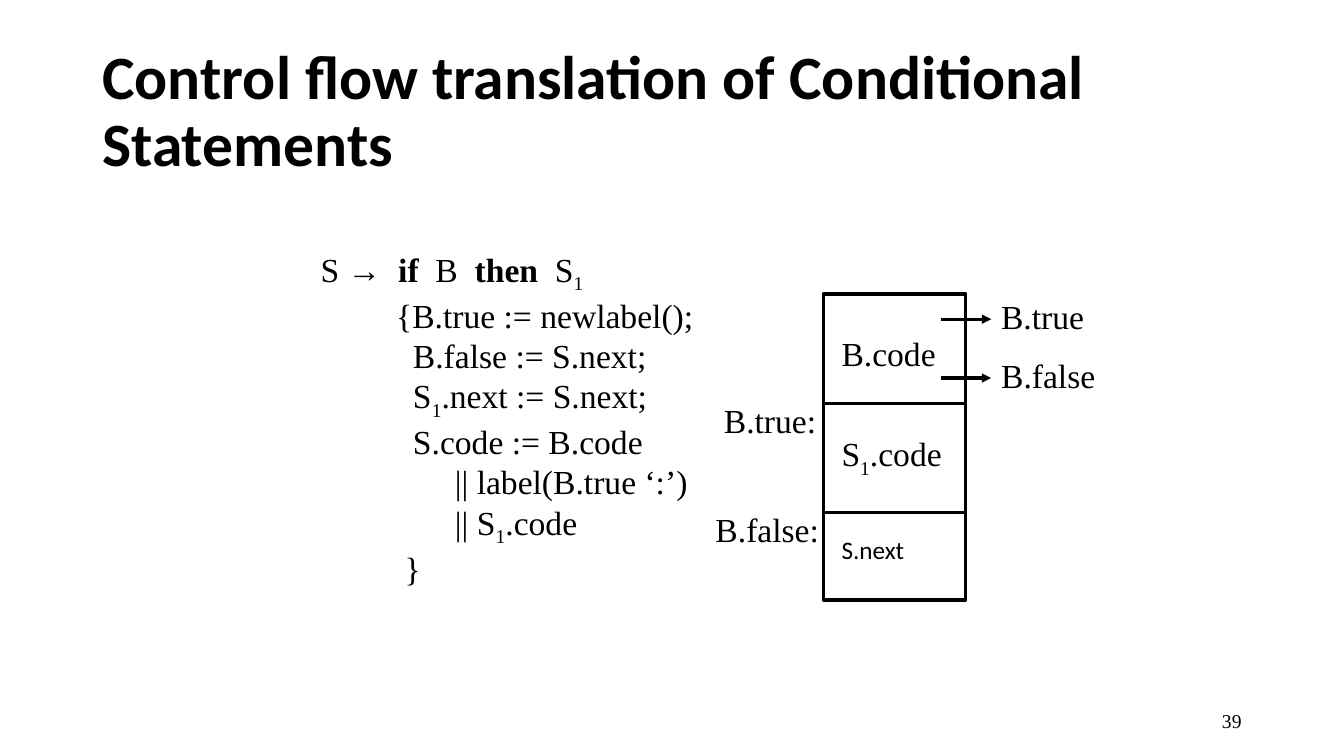
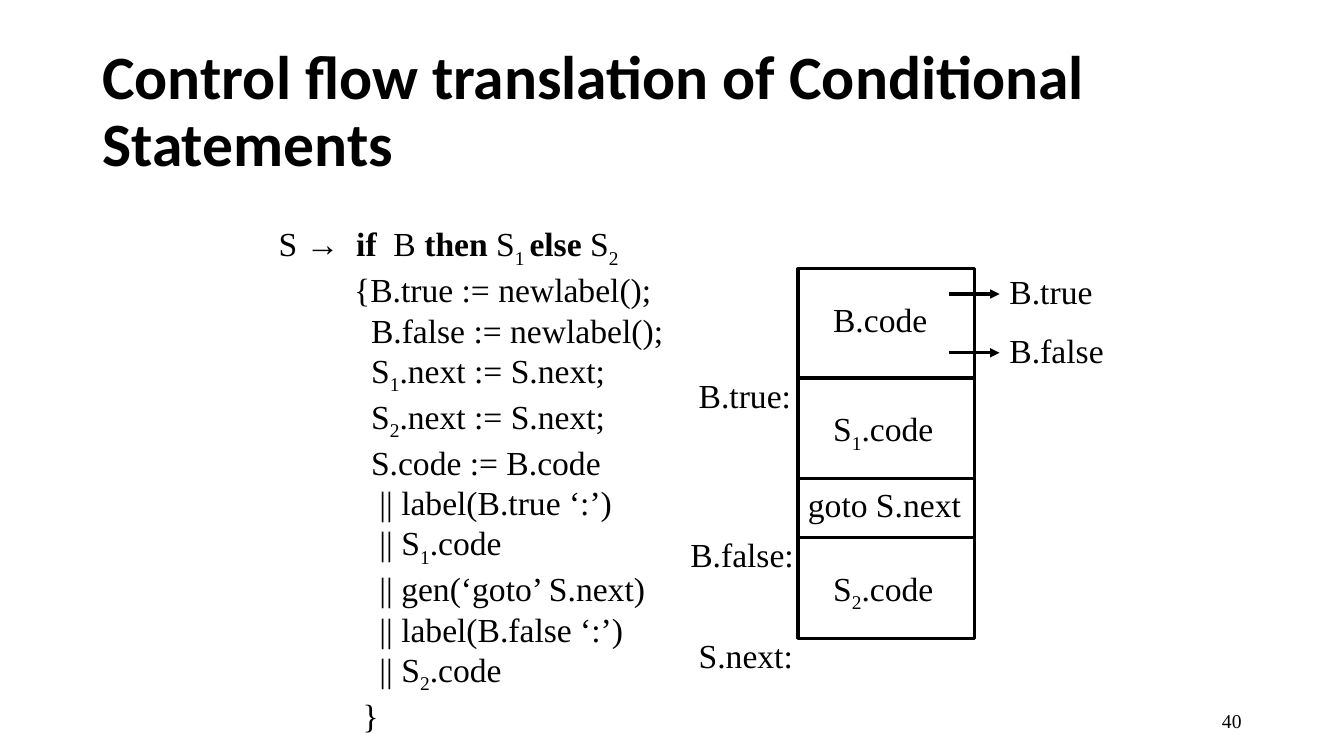
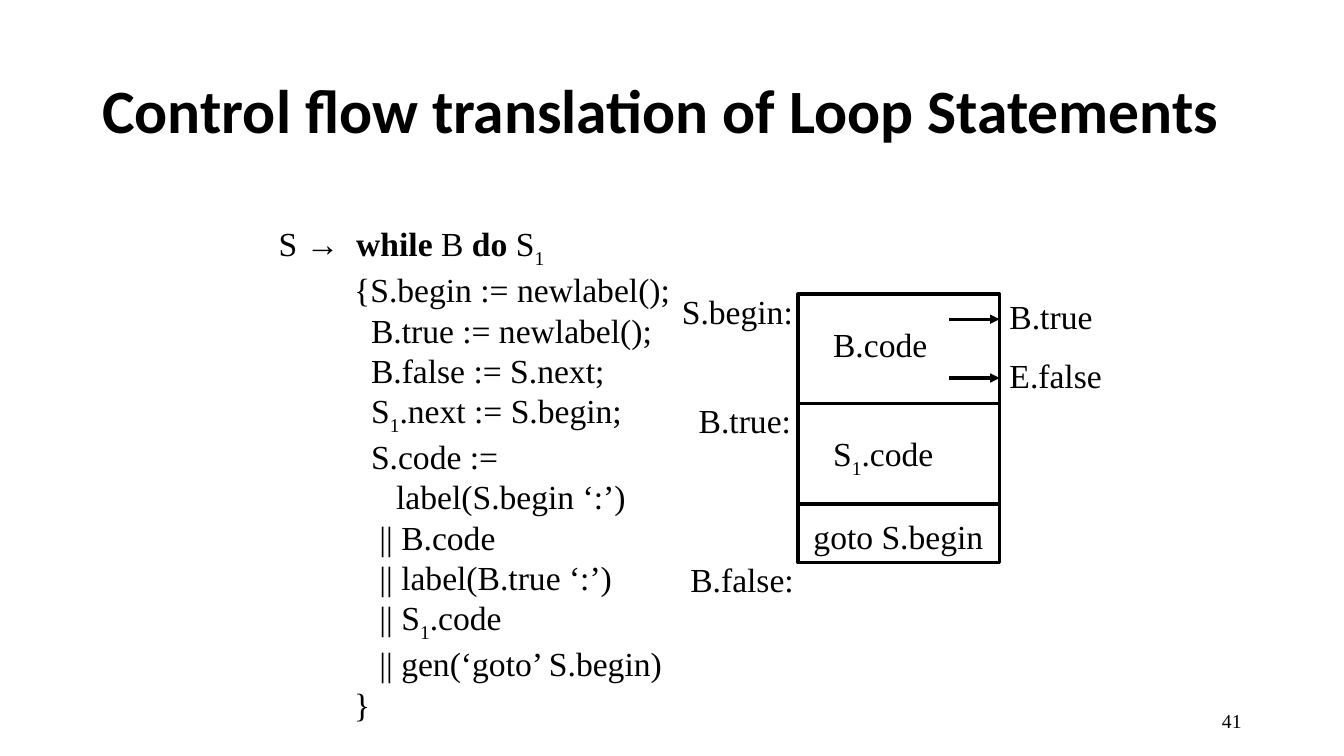
from dataclasses import dataclass

from lxml.etree import SubElement
from pptx import Presentation
from pptx.dml.color import RGBColor
from pptx.enum.shapes import MSO_CONNECTOR, MSO_SHAPE
from pptx.enum.text import MSO_ANCHOR, MSO_AUTO_SIZE, PP_ALIGN
from pptx.oxml.ns import qn
from pptx.util import Pt


@dataclass(frozen=True)
class Theme:
    """Colours, fonts and sizes shared by every slide."""

    ink: RGBColor = RGBColor(0, 0, 0)
    paper: RGBColor = RGBColor(255, 255, 255)
    heading_font: str = "Calibri"
    body_font: str = "Times New Roman"
    title_size: float = 44
    body_size: float = 24
    small_size: float = 18
    number_size: float = 14
    line_width: float = 2.25
    line_height: float = 36
    label_rise: float = 6
    exit_rise: float = 20


@dataclass(frozen=True)
class Box:
    """A rectangle in points."""

    left: float
    top: float
    width: float
    height: float

    @property
    def right(self):
        """Return the right edge."""
        return self.left + self.width

    def lengths(self):
        """Return the four lengths for a shape call."""
        return Pt(self.left), Pt(self.top), Pt(self.width), Pt(self.height)


THEME = Theme()
TITLE_BOX = Box(66, 28.75, 828, 104.38)
NUMBER_BOX = Box(678, 500.5, 216, 28.75)
LABELS = {
    "B.true:": (-78, 81.4),
    "B.false:": (-84, 89.3),
    "S.next:": (-78, 82.1),
    "S.begin:": (-90, 93.6),
}
EXIT_WIDTHS = {"B.true": 74.2, "B.false": 82.8, "E.false": 80.6}
EXIT_OFFSETS = (18, 60)
ARROW_LENGTH = 36

SLIDES = [
    {
        "number": "39",
        "title": "Control flow translation of Conditional Statements",
        "code_box": Box(222, 174, 283, 240),
        "code": [
            "S →  *if*  B  *then*  S~1~",
            "         {B.true := newlabel();",
            "           B.false := S.next;",
            "           S~1~.next := S.next;",
            "           S.code := B.code",
            "                || label(B.true ‘:’)",
            "                || S~1~.code",
            "          }",
        ],
        "frame": Box(588, 210, 102, 156),
        "annex": Box(588, 366, 102, 62.6),
        "dividers": [78],
        "cells": [("B.code", 6, 24, 82.8), ("S~1~.code", 6, 96, 87.1)],
        "annex_text": "S.next",
        "labels": [("B.true:", 78), ("B.false:", 156)],
        "exits": ["B.true", "B.false"],
        "exit_reach": 18,
    },
    {
        "number": "40",
        "title": "Control flow translation of Conditional Statements",
        "code_box": Box(192, 156, 291.6, 356.4),
        "code": [
            "S →  *if*  B *then* S~1 ~*else* S~2~",
            "         {B.true := newlabel();",
            "           B.false := newlabel();",
            "           S~1~.next := S.next;",
            "           S~2~.next := S.next;",
            "           S.code := B.code",
            "            || label(B.true ‘:’)",
            "            || S~1~.code",
            "            || gen(‘goto’ S.next)",
            "            || label(B.false ‘:’)",
            "            || S~2~.code",
            "          }",
        ],
        "frame": Box(570, 192, 126, 264),
        "dividers": [78, 150, 192],
        "cells": [
            ("B.code", 18, 18, 82.8),
            ("S~1~.code", 18, 96, 87.1),
            ("goto S.next", 0, 150, 123.8),
            ("S~2~.code", 18, 210, 87.1),
        ],
        "labels": [("B.true:", 78), ("B.false:", 192), ("S.next:", 264)],
        "exits": ["B.true", "B.false"],
        "exit_reach": 18,
    },
    {
        "number": "41",
        "title": "Control flow translation of Loop Statements",
        "code_box": Box(192, 156, 296.6, 356.4),
        "code": [
            "S →  *while* B *do* S~1~",
            "         {S.begin := newlabel();",
            "           B.true := newlabel();",
            "           B.false := S.next;",
            "           S~1~.next := S.begin;",
            "           S.code :=",
            "              label(S.begin ‘:’)",
            "            || B.code",
            "            || label(B.true ‘:’)",
            "            || S~1~.code",
            "            || gen(‘goto’ S.begin)",
            "         }",
        ],
        "frame": Box(570, 210, 144, 192),
        "dividers": [78, 150],
        "cells": [
            ("B.code", 18, 18, 82.8),
            ("S~1~.code", 18, 96, 87.1),
            ("goto S.begin", 4, 155, 136),
        ],
        "labels": [("S.begin:", 0), ("B.true:", 78), ("B.false:", 192)],
        "exits": ["B.true", "E.false"],
        "exit_reach": 0,
    },
]


def add_span(para, text, font, size, bold=False, lowered=False):
    """Append one run to a paragraph."""
    span = para.add_run()
    span.text = text
    span.font.name = font
    span.font.size = Pt(size)
    span.font.bold = bold
    span.font.color.rgb = THEME.ink
    if lowered:
        span._r.get_or_add_rPr().set("baseline", "-25000")


def fill_paragraph(para, markup, font, size, bold=False):
    """Write markup in which * toggles bold and ~ toggles subscript."""
    for strong, part in enumerate(markup.split("*")):
        for low, piece in enumerate(part.split("~")):
            if piece:
                add_span(para, piece, font, size, bold or strong % 2 == 1, low % 2 == 1)


def add_text(page, box, lines, font=THEME.body_font, size=THEME.body_size, bold=False, wrap=False):
    """Add a text box with one paragraph for each line."""
    frame = page.shapes.add_textbox(*box.lengths()).text_frame
    frame.word_wrap = wrap
    frame.auto_size = MSO_AUTO_SIZE.NONE if wrap else MSO_AUTO_SIZE.SHAPE_TO_FIT_TEXT
    for index, line in enumerate(lines):
        para = frame.add_paragraph() if index else frame.paragraphs[0]
        fill_paragraph(para, line, font, size, bold)
    return frame


def add_outline(page, box):
    """Add an unfilled rectangle."""
    outline = page.shapes.add_shape(MSO_SHAPE.RECTANGLE, *box.lengths())
    outline.shadow.inherit = False
    outline.fill.background()
    outline.line.color.rgb = THEME.ink
    outline.line.width = Pt(THEME.line_width)
    return outline


def add_line(page, left, right, level, arrow=False):
    """Add a horizontal line, with an arrowhead at its right end if asked."""
    line = page.shapes.add_connector(
        MSO_CONNECTOR.STRAIGHT, Pt(left), Pt(level), Pt(right), Pt(level)
    )
    line.line.color.rgb = THEME.ink
    line.line.width = Pt(THEME.line_width)
    if arrow:
        SubElement(line.line._get_or_add_ln(), qn("a:tailEnd"), type="triangle")
    SubElement(line._element.spPr, qn("a:effectLst"))
    return line


def add_heading(page, box, title):
    """Place the slide title."""
    frame = add_text(page, box, [title], THEME.heading_font, THEME.title_size, True, True)
    frame.vertical_anchor = MSO_ANCHOR.MIDDLE
    frame.paragraphs[0].line_spacing = 0.9


def add_number(page, box, number):
    """Place the page number."""
    frame = add_text(page, box, [number], size=THEME.number_size, wrap=True)
    frame.vertical_anchor = MSO_ANCHOR.MIDDLE
    frame.paragraphs[0].alignment = PP_ALIGN.RIGHT


def add_layout_diagram(page, box, content):
    """Draw the code blocks in the box, with their labels and exits."""
    outline = add_outline(page, box)
    for offset in content["dividers"]:
        divider = add_line(page, box.left, box.right, box.top + offset)
        if offset * 2 == box.height:
            divider.begin_connect(outline, 1)
            divider.end_connect(outline, 3)
    for text, across, down, width in content["cells"]:
        cell = Box(box.left + across, box.top + down, width, THEME.line_height)
        add_text(page, cell, [text])
    for text, offset in content["labels"]:
        across, width = LABELS[text]
        top = box.top + offset - THEME.label_rise
        add_text(page, Box(box.left + across, top, width, THEME.line_height), [text])
    tip = box.right + content["exit_reach"]
    for text, offset in zip(content["exits"], EXIT_OFFSETS):
        level = box.top + offset
        add_line(page, tip - ARROW_LENGTH, tip, level, arrow=True)
        exit_box = Box(tip, level - THEME.exit_rise, EXIT_WIDTHS[text], THEME.line_height)
        add_text(page, exit_box, [text])


def add_annex(page, box, text):
    """Draw the block that follows the diagram."""
    add_outline(page, box)
    inner = Box(box.left + 6, box.top + 12, 87, 29)
    add_text(page, inner, [text], THEME.heading_font, THEME.small_size, wrap=True)


def add_translation_slide(deck, content):
    """Build one slide with a translation rule and its code layout."""
    page = deck.slides.add_slide(deck.slide_layouts[6])
    page.background.fill.solid()
    page.background.fill.fore_color.rgb = THEME.paper
    add_number(page, NUMBER_BOX, content["number"])
    add_heading(page, TITLE_BOX, content["title"])
    add_text(page, content["code_box"], content["code"])
    add_layout_diagram(page, content["frame"], content)
    if "annex" in content:
        add_annex(page, content["annex"], content["annex_text"])


def main():
    """Build and save the deck."""
    deck = Presentation()
    deck.slide_width, deck.slide_height = Pt(960), Pt(540)
    for content in SLIDES:
        add_translation_slide(deck, content)
    deck.save("out.pptx")


if __name__ == "__main__":
    main()
